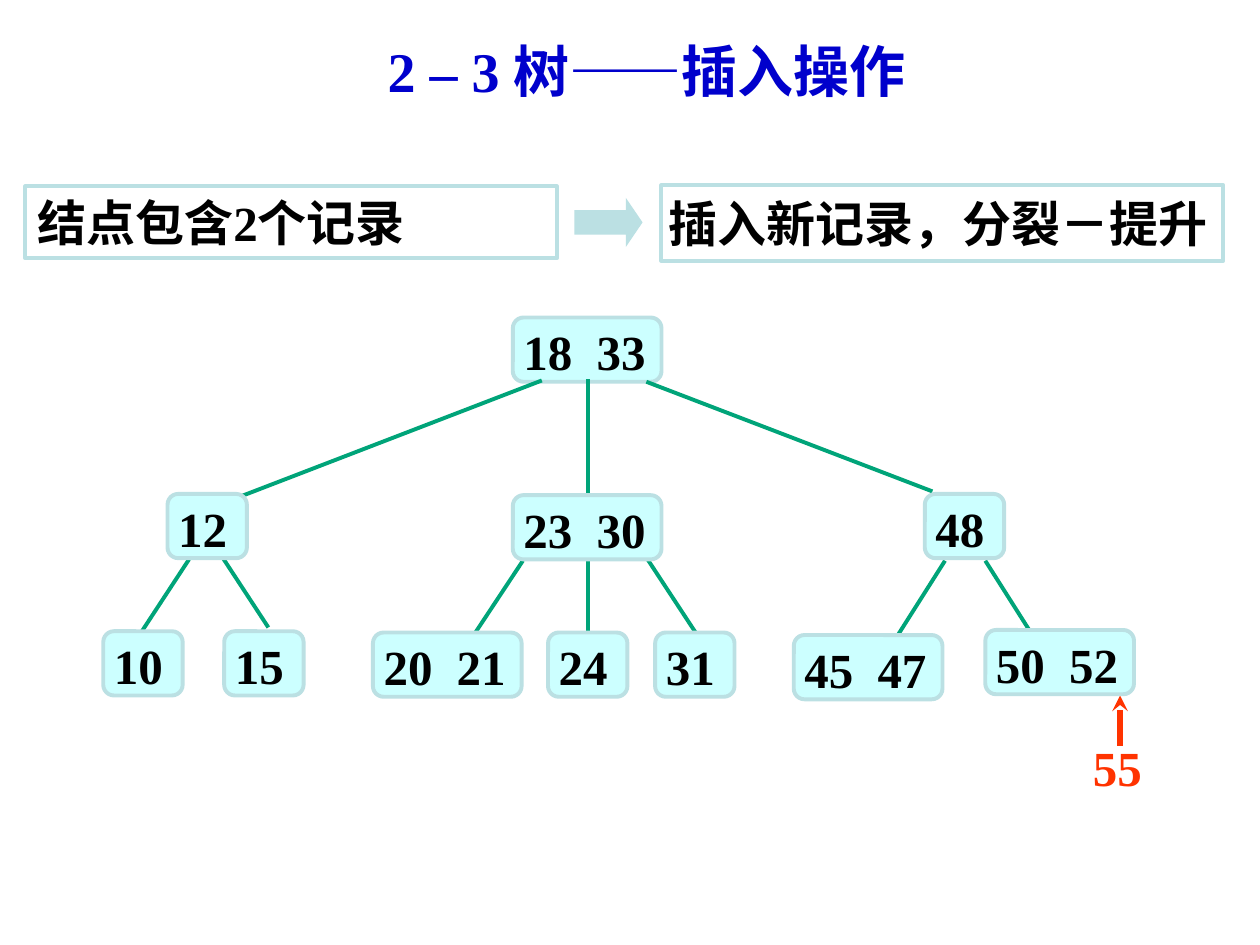
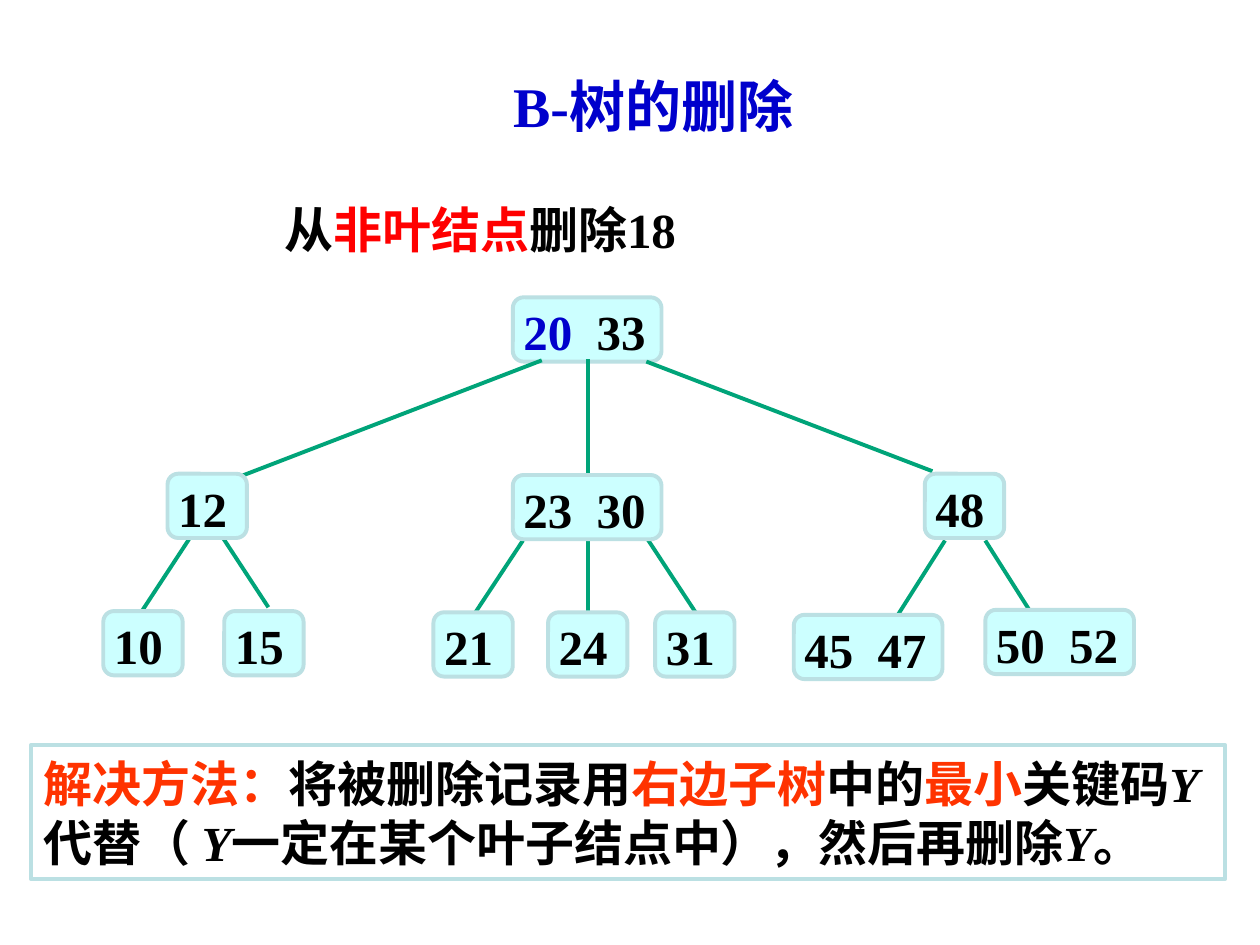
from lxml.etree import SubElement
from pptx import Presentation
from pptx.dml.color import RGBColor
from pptx.enum.shapes import MSO_CONNECTOR, MSO_SHAPE
from pptx.enum.text import MSO_ANCHOR, MSO_AUTO_SIZE, PP_ALIGN
from pptx.oxml.ns import qn
from pptx.util import Inches, Pt

rgb = RGBColor.from_string
BLUE, BLACK, ORANGE, RED = "0000CC", "000000", "FF3300", "FF0000"
NODE_FILL, BORDER, BRANCH = "CCFFFF", "BBE0E3", "00A479"
SERIF, SANS = "Times New Roman", "Arial"

deck = Presentation()
deck.slide_width, deck.slide_height = Inches(10), Inches(7.5)
COL, ROW = deck.slide_width / 100, deck.slide_height / 75
NODE_HEIGHT, KEY_WIDTH, KEY_STEP = 5.1, 6.3, 5.5


def write(frame, runs, size=28):
    paragraph = frame.paragraphs[0]
    for text, color, *style in runs:
        run = paragraph.add_run()
        run.text = text
        run.font.size = Pt(size)
        run.font.bold = True
        run.font.italic = "italic" in style
        run.font.name = SANS if SANS in style else SERIF
        run.font.color.rgb = rgb(color)
    return paragraph


def add_box(slide, preset, left, top, width, height, fill=None, border=None, inset=1):
    box = slide.shapes.add_shape(
        preset, int(left * COL), int(top * ROW), int(width * COL), int(height * ROW))
    box.shadow.inherit = False
    box.fill.background()
    box.line.fill.background()
    if fill:
        box.fill.solid()
        box.fill.fore_color.rgb = rgb(fill)
    if border:
        box.line.color.rgb = rgb(border)
        box.line.width = Pt(2.25)
    frame = box.text_frame
    frame.word_wrap = True
    frame.vertical_anchor = MSO_ANCHOR.MIDDLE
    frame.margin_left = int(inset * COL)
    frame.paragraphs[0].alignment = PP_ALIGN.LEFT
    return box


root_edges = [(43, 5, 19.1, 14.2), (46.7, 4.9, 46.7, 14), (51.3, 5.1, 74, 13.8)]
leaf_edges = [
    (15, 19.2, 11.2, 25), (17.7, 19.1, 21.3, 24.6),
    (41.5, 19.3, 37.6, 25.2), (46.7, 19.3, 46.7, 25.3), (51.4, 19.2, 55.6, 25.6),
    (75, 19.3, 71.2, 25.3), (78.2, 19.3, 82, 25.3),
]
shared_nodes = [
    (13.3, 14, ["12"]), (40.7, 14.1, ["23", "30"]), (73.4, 14, ["48"]),
    (8.2, 24.9, ["10"]), (17.8, 24.9, ["15"]),
    (43.5, 25, ["24"]), (52, 25, ["31"]),
    (63, 25.2, ["45", "47"]), (78.2, 24.8, ["50", "52"]),
]
new_key = (85.9, 33, ["55"])
insertion_arrow = (88.9, 34, 88.9, 30)

pages = [
    ("2 – 3 树——插入操作", 28.5, 2.4, 25.2, ["18", "33"], BLACK,
     (29.6, 25, ["20", "21"]), [new_key], [insertion_arrow]),
    ("B-树的删除", 29, 5.2, 23.6, ["20", "33"], BLUE,
     (34.4, 25, ["21"]), [], []),
]

slides = []
for (title_text, title_left, title_top, tree_top, root_keys, first_key_color,
     changed_leaf, inserted, arrows) in pages:
    slide = deck.slides.add_slide(deck.slide_layouts[5])
    slides.append(slide)
    title = slide.shapes.title
    title.left, title.top = int(title_left * COL), int(title_top * ROW)
    title.width, title.height = int(45.7 * COL), int(6.3 * ROW)
    title.text_frame.word_wrap = True
    title.text_frame.auto_size = MSO_AUTO_SIZE.NONE
    title.text_frame.vertical_anchor = MSO_ANCHOR.TOP
    write(title.text_frame, [(title_text, BLUE)], 32).alignment = PP_ALIGN.CENTER

    root = (40.7, 0, root_keys)
    edges = root_edges + leaf_edges
    for x1, y1, x2, y2 in edges + arrows:
        is_arrow = (x1, y1, x2, y2) in arrows
        edge = slide.shapes.add_connector(
            MSO_CONNECTOR.STRAIGHT, int(x1 * COL), int((tree_top + y1) * ROW),
            int(x2 * COL), int((tree_top + y2) * ROW))
        edge.line.color.rgb = rgb(ORANGE if is_arrow else BRANCH)
        edge.line.width = Pt(3 if is_arrow else 2.25)
        if is_arrow:
            SubElement(edge.line._get_or_add_ln(), qn("a:tailEnd"), type="stealth")
        SubElement(edge._element.spPr, qn("a:effectLst"))
        if (x1, y1, x2, y2) == root_edges[0]:
            root_edge = edge

    for node in [root, *shared_nodes, changed_leaf, *inserted]:
        left, top, keys = node
        is_new = node in inserted
        box = add_box(slide, MSO_SHAPE.ROUNDED_RECTANGLE, left, tree_top + top,
                      KEY_WIDTH + KEY_STEP * (len(keys) - 1), NODE_HEIGHT,
                      None if is_new else NODE_FILL, None if is_new else BORDER, 0.6)
        frame = box.text_frame
        frame.vertical_anchor = MSO_ANCHOR.TOP
        frame.margin_top = frame.margin_bottom = int(0.1 * ROW)
        frame.margin_right = int(0.2 * COL)
        if len(keys) > 1:
            tabs = SubElement(frame.paragraphs[0]._p.get_or_add_pPr(), qn("a:tabLst"))
            SubElement(tabs, qn("a:tab"), pos=str(int(5.8 * COL)), algn="l")
        color = ORANGE if is_new else first_key_color if node is root else BLACK
        write(frame, [(keys[0], color)] + [("\t" + key, BLACK) for key in keys[1:]])
        if node is root:
            root_edge._element.addprevious(box._element)

insertion, deletion = slides

condition = add_box(insertion, MSO_SHAPE.RECTANGLE, 2, 14.8, 42.2, 5.7, border=BORDER)
write(condition.text_frame, [("结点包含2个记录", BLACK)])
action = add_box(insertion, MSO_SHAPE.RECTANGLE, 52.5, 14.7, 44.6, 6, border=BORDER, inset=0.6)
action.text_frame.margin_right = 0
write(action.text_frame, [("插入新记录，分裂－提升", BLACK, SANS)])
leads_to = add_box(insertion, MSO_SHAPE.RIGHT_ARROW, 45.6, 15.7, 5.4, 3.9, fill=BORDER)
leads_to.adjustments[1] = 0.34

task = deletion.shapes.add_textbox(
    int(21.6 * COL), int(15.3 * ROW), int(34.5 * COL), int(5.7 * ROW))
task.text_frame.word_wrap = False
task.text_frame.vertical_anchor = MSO_ANCHOR.MIDDLE
write(task.text_frame, [("从", BLACK), ("非叶结点", RED, SANS), ("删除18", BLACK)])

solution = add_box(deletion, MSO_SHAPE.RECTANGLE, 2.5, 59.1, 94.7, 10.7, border=BORDER)
write(solution.text_frame, [
    ("解决方法：", ORANGE), ("将被删除记录用", BLACK), ("右边子树", ORANGE),
    ("中的", BLACK), ("最小", ORANGE), ("关键码", BLACK), ("Y", BLACK, "italic"),
    ("代替（ ", BLACK), ("Y", BLACK, "italic"),
    ("一定在某个叶子结点中），然后再删除", BLACK), ("Y", BLACK, "italic"), ("。", BLACK),
])

deck.save("out.pptx")
